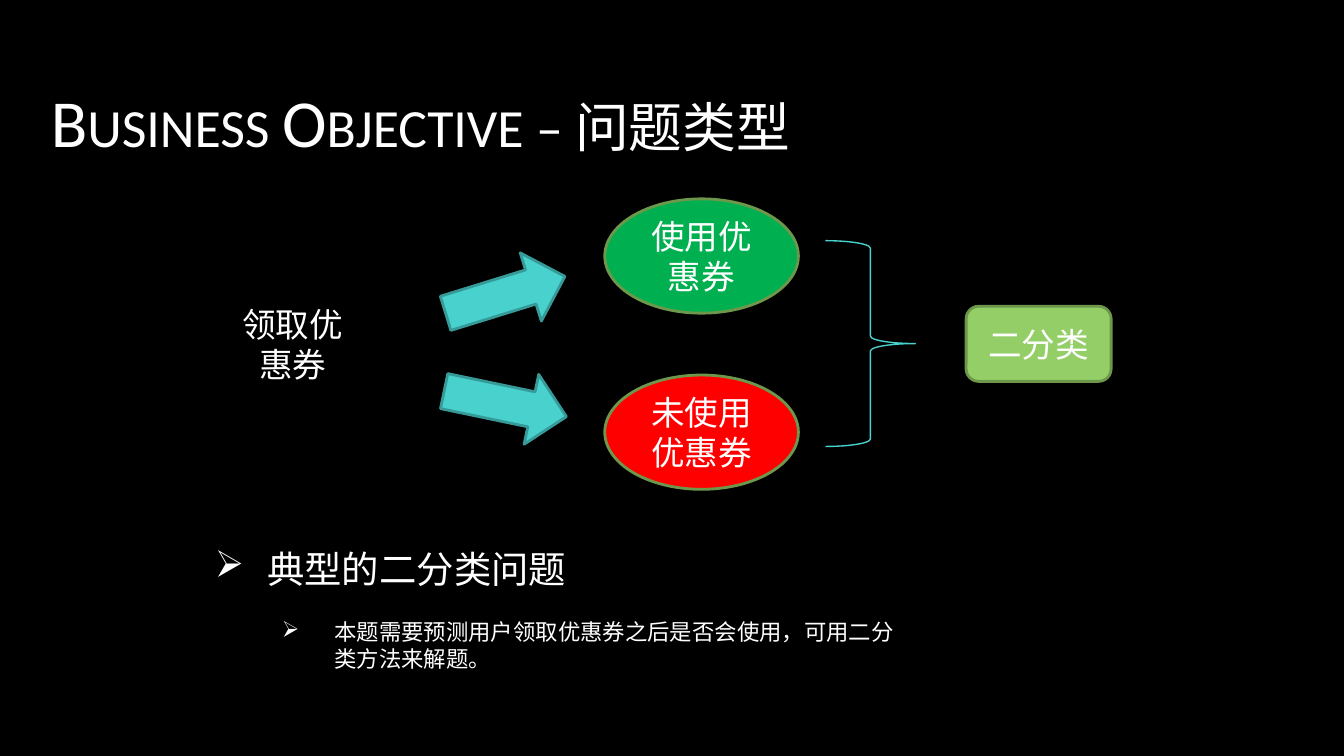
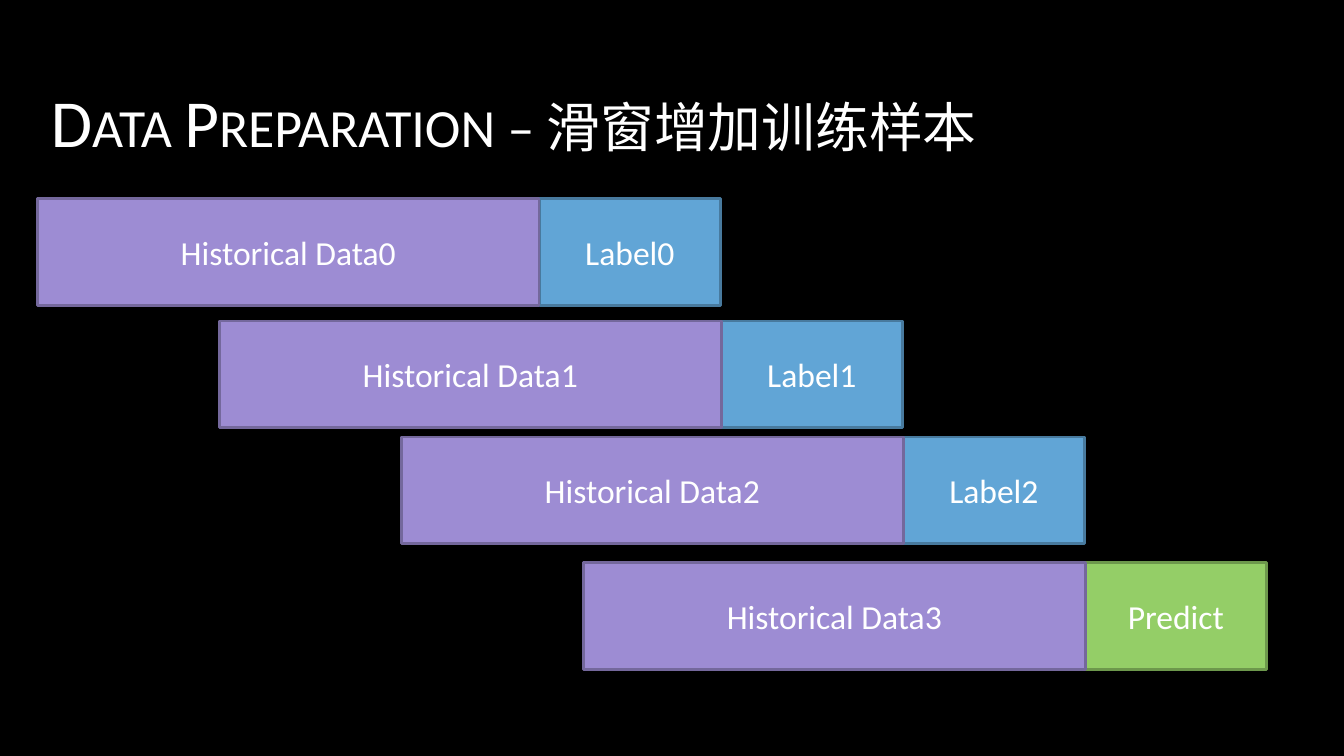
from lxml import etree
from pptx import Presentation
from pptx import util as u
from pptx.dml.color import RGBColor
from pptx.enum import shapes, text
from pptx.oxml.ns import qn

COLOURS = {
    "black": "000000",
    "white": "FFFFFF",
    "used": "00B050",
    "unused": "FF0000",
    "green": "94CE67",
    "green_edge": "6D984C",
    "teal": "49D1CD",
    "teal_edge": "369B98",
    "blue": "61A5D6",
    "blue_edge": "487A9E",
    "purple": "9D8CD3",
    "purple_edge": "74689C",
}
SHAPE = shapes.MSO_SHAPE
LEFT_MARGIN = 0.71
TOP_ROW = 3.76
INSET = u.Cm(0.25)


def colour(name):
    return RGBColor.from_string(COLOURS[name])


def write(para, words, size=18, font="Calibri", ink="white", align=None, small_caps=False):
    span = para.add_run()
    span.text = words
    span.font.size = u.Pt(size)
    span.font.name = font
    span.font.color.rgb = colour(ink)
    if small_caps:
        span.font._element.set("cap", "small")
    if align is not None:
        para.alignment = align


def prepare_frame(frame):
    """Wrap text from the top, with even insets and no resizing."""
    frame.word_wrap = True
    frame.auto_size = text.MSO_AUTO_SIZE.NONE
    frame.vertical_anchor = text.MSO_ANCHOR.TOP
    frame.margin_left = frame.margin_right = INSET
    frame.margin_top = frame.margin_bottom = INSET


def add_page(deck, title):
    page = deck.slides.add_slide(deck.slide_layouts[5])
    box = page.shapes.title
    box.left, box.top = u.Cm(LEFT_MARGIN), u.Cm(1.27)
    box.width, box.height = u.Cm(23.83), u.Cm(1.3)
    prepare_frame(box.text_frame)
    write(box.text_frame.paragraphs[0], title, size=36,
          align=text.PP_ALIGN.LEFT, small_caps=True)
    return page


def add_figure(page, kind, left, top, width, height, fill=None, edge="black",
               weight=1.5, label=None, rotation=0):
    figure = page.shapes.add_shape(kind, u.Cm(left), u.Cm(top), u.Cm(width), u.Cm(height))
    figure.shadow.inherit = False
    figure.rotation = rotation
    if fill:
        figure.fill.solid()
        figure.fill.fore_color.rgb = colour(fill)
    else:
        figure.fill.background()
    figure.line.color.rgb = colour(edge)
    figure.line.width = u.Pt(weight)
    if label:
        frame = figure.text_frame
        frame.word_wrap = True
        frame.vertical_anchor = text.MSO_ANCHOR.MIDDLE
        write(frame.paragraphs[0], label, align=text.PP_ALIGN.CENTER)
    return figure


def set_bullet(para, indent):
    properties = para._p.get_or_add_pPr()
    properties.set("marL", str(u.Cm(indent)))
    properties.set("indent", str(u.Cm(-0.99)))
    bullet_colour = etree.SubElement(properties, qn("a:buClr"))
    etree.SubElement(bullet_colour, qn("a:srgbClr")).set("val", COLOURS["white"])
    etree.SubElement(properties, qn("a:buChar")).set("char", "➢")


def add_bullets(page, left, top, width, height, items):
    """Each item is (words, level, size, space before in points)."""
    box = page.shapes.add_textbox(u.Cm(left), u.Cm(top), u.Cm(width), u.Cm(height))
    frame = box.text_frame
    prepare_frame(frame)
    for index, (words, level, size, space) in enumerate(items):
        para = frame.add_paragraph() if index else frame.paragraphs[0]
        para.level = level
        para.space_before = u.Pt(space)
        set_bullet(para, 1.27 * (level + 1))
        write(para, words, size=size, font="Roboto")


def build_objective(deck):
    page = add_page(deck, "Business Objective – 问题类型")
    add_bullets(page, 3.53, 10.08, 13.92, 3.78, [
        ("典型的二分类问题", 0, 20, 0),
        ("本题需要预测用户领取优惠券之后是否会使用，可用二分类方法来解题。", 1, 12, 14.5),
    ])
    outcomes = [("使用优惠券", "used", TOP_ROW), ("未使用优惠券", "unused", 7.09)]
    for label, fill, top in outcomes:
        add_figure(page, SHAPE.OVAL, 11.43, top, 3.66, 2.16,
                   fill=fill, edge="green_edge", label=label)
    add_figure(page, SHAPE.RIGHT_BRACE, 15.6, 4.55, 1.7, 3.89, edge="teal", weight=0.75)
    add_figure(page, SHAPE.ROUNDED_RECTANGLE, 18.26, 5.79, 2.74, 1.42,
               fill="green", edge="green_edge", label="二分类")
    add_figure(page, SHAPE.OVAL, 3.53, 5.38, 4.01, 2.24, fill="black", label="领取优惠券")
    for top, rotation in [(4.9, 342.8), (6.96, 11.8)]:
        add_figure(page, SHAPE.RIGHT_ARROW, 8.37, top, 2.36, 1.35,
                   fill="teal", edge="teal_edge", rotation=rotation)


def build_preparation(deck):
    page = add_page(deck, "Data Preparation – 滑窗增加训练样本")
    history_width, label_width, height, step = 9.48, 3.43, 2.01, 3.44
    windows = [
        (TOP_ROW, "Label0", "blue"),
        (6.07, "Label1", "blue"),
        (8.26, "Label2", "blue"),
        (10.64, "Predict", "green"),
    ]
    for index, (top, label, fill) in enumerate(windows):
        left = LEFT_MARGIN + index * step
        add_figure(page, SHAPE.RECTANGLE, left + history_width, top, label_width, height,
                   fill=fill, edge=fill + "_edge", label=label)
        add_figure(page, SHAPE.RECTANGLE, left, top, history_width, height,
                   fill="purple", edge="purple_edge", label=f"Historical Data{index}")


def main():
    deck = Presentation()
    deck.slide_width, deck.slide_height = u.Cm(25.4), u.Cm(14.29)
    backdrop = deck.slide_master.background.fill
    backdrop.solid()
    backdrop.fore_color.rgb = colour("black")
    build_objective(deck)
    build_preparation(deck)
    deck.save("out.pptx")


if __name__ == "__main__":
    main()
